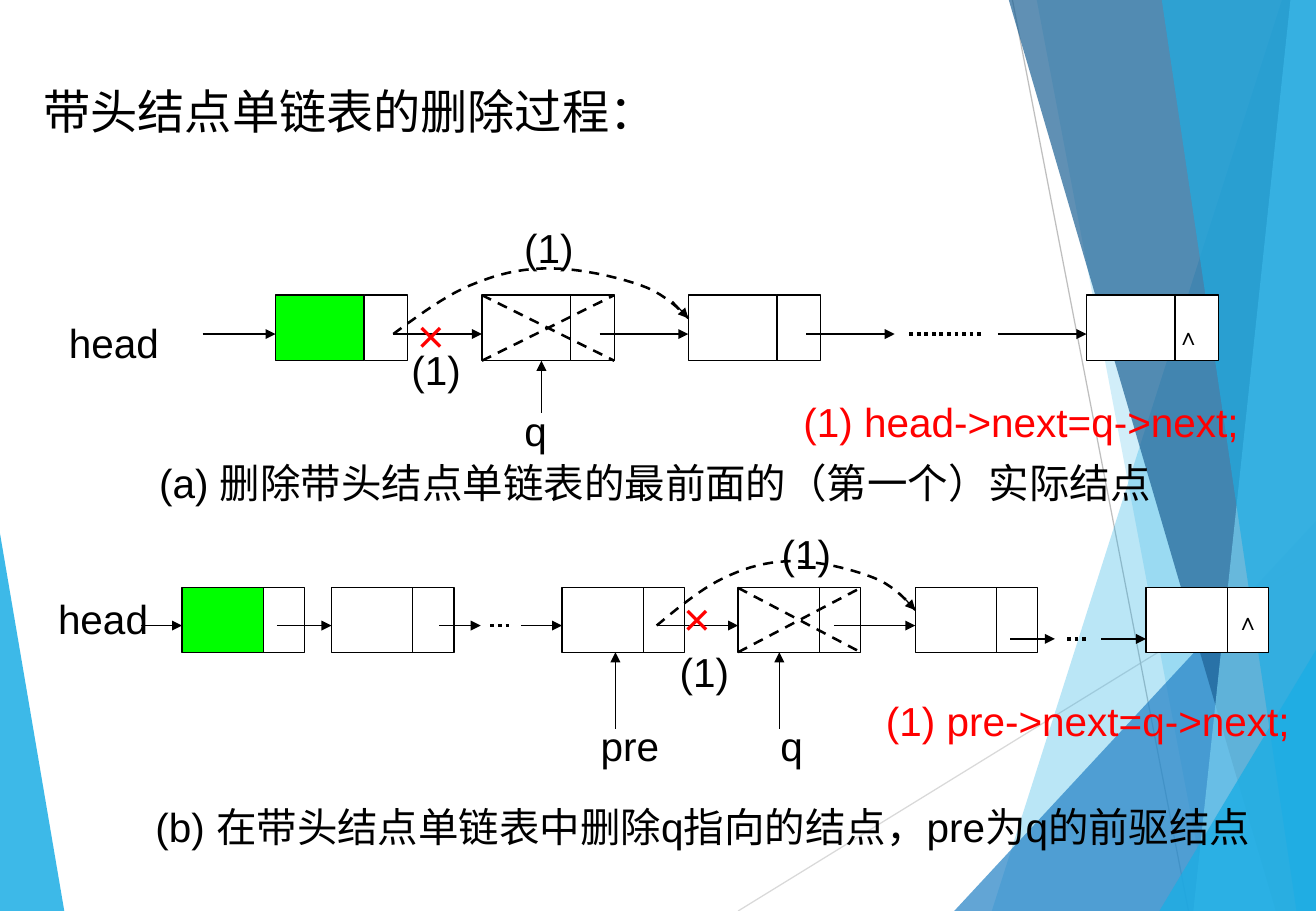
from pptx import Presentation
from pptx.dml.color import RGBColor
from pptx.enum.dml import MSO_LINE
from pptx.enum.shapes import MSO_CONNECTOR, MSO_SHAPE
from pptx.enum.text import MSO_ANCHOR, PP_ALIGN
from pptx.oxml.ns import qn
from pptx.util import Inches, Pt
from lxml.etree import SubElement

W, H = 10.84, 7.5
HEX = {"black": "000000", "white": "FFFFFF", "green": "00FF00", "red": "FF0000",
       "cyan": "1CADE4", "blue": "2683C6", "navy": "1D6295", "sky": "77CEEF",
       "pale": "D9D9D9", "grey": "BFBFBF"}

# Backdrop: thin lines, then facets as (colour, opacity %, corners)
RAYS = [(6.08, H, W, 4.57, "pale"), (8.34, 0, 9.79, H, "grey")]
FACETS = [
    ("cyan", 85, [(0, 4.39), (0.53, H), (0, H)]),
    ("cyan", 30, [(10.56, 0), (8.17, H), (W, H), (W, 0)]),
    ("cyan", 20, [(8.54, 0), (9.96, H), (W, H), (W, 0)]),
    ("blue", 72, [(7.86, H), (W, 4.29), (W, H)]),
    ("navy", 70, [(8.31, 0), (10.51, H), (W, H), (W, 0)]),
    ("sky", 70, [(10.63, 0), (9.83, H), (W, H), (W, 0)]),
    ("cyan", 65, [(9.57, 0), (10.68, H), (W, H), (W, 0)]),
    ("cyan", 80, [(9.55, H), (W, 5.35), (W, H)]),
]

# The two lists; gaps are (start, end, arrow length, pad around the dots)
LISTS = [
    {"top": 2.43, "high": 0.54, "data": 0.73, "next": 0.36,
     "nodes": [2.27, 3.97, 5.67, 8.95], "gone": 3.97, "mid": 2.75,
     "links": [(1.67, 2.27), (3.24, 3.97), (4.94, 5.67)],
     "gaps": [(6.64, 8.95, 2.75, 0.73, 0.12)],
     "marks": [(4.46, 3.4)], "skip": (3.24, 5.67)},
    {"top": 4.84, "high": 0.53, "data": 0.67, "next": 0.34,
     "nodes": [1.5, 2.73, 4.63, 6.08, 7.54, 9.44], "gone": 6.08, "mid": 5.15,
     "links": [(1.16, 1.5), (2.28, 2.73), (5.41, 6.08), (6.87, 7.54)],
     "gaps": [(3.62, 4.63, 5.15, 0.34, 0.08), (8.32, 9.44, 5.26, 0.37, 0.1)],
     "marks": [(5.07, 6), (6.42, 6)], "skip": (5.41, 7.54)},
]

# Bypass curve as cubic arcs, in shares of its width and height
ARCS = [
    [(0, 0), (0.09, 0.3), (0.18, 0.59), (0.26, 0.74)],
    [(0.26, 0.74), (0.35, 0.91), (0.43, 1), (0.53, 1)],
    [(0.53, 1), (0.63, 1), (0.76, 0.87), (0.84, 0.74)],
    [(0.84, 0.74), (0.92, 0.62), (0.98, 0.33), (1, 0.24)],
]

# Text, left, top, width
LABELS = [
    ("head", 0.47, 2.57, 1.2), ("(1)", 4.22, 1.79, 0.8), ("(1)", 3.29, 2.79, 0.8),
    ("q", 4.22, 3.29, 0.61), ("head", 0.38, 4.84, 1.2), ("(1)", 6.34, 4.31, 0.8),
    ("(1)", 5.5, 5.28, 0.8), ("pre", 4.85, 5.89, 0.9), ("q", 6.33, 5.89, 0.61),
]
CODE = [("(1) head->next=q->next;", 6.52, 3.22, 4.3),
        ("(1) pre->next=q->next;", 7.2, 5.68, 3.64)]
NOTES = [("(a) 删除带头结点单链表的最前面的（第一个）实际结点", 0.63, 3.72, 9.53),
         ("(b) 在带头结点单链表中删除q指向的结点，pre为q的前驱结点", 0.74, 6.55, 10.1)]
CUTS = [(3.55, 2.47), (5.74, 4.8)]
ENDS = [(9.79, 2.52), (10.28, 4.86)]

prs = Presentation()
prs.slide_width, prs.slide_height = Inches(W), Inches(H)
shapes = prs.slides.add_slide(prs.slide_layouts[6]).shapes


def tint(name):
    return RGBColor.from_string(HEX[name])


def line(x1, y1, x2, y2, color="black", width=0.75, dash=None, head=False):
    link = shapes.add_connector(MSO_CONNECTOR.STRAIGHT, *map(Inches, (x1, y1, x2, y2)))
    link.line.color.rgb = tint(color)
    link.line.width = Pt(width)
    if dash:
        link.line.dash_style = dash
    prop = link.element.spPr
    if head:
        SubElement(prop.find(qn("a:ln")), qn("a:tailEnd"), type="triangle")
    SubElement(prop, qn("a:effectLst"))


def arrow(x1, y1, x2, y2):
    line(x1, y1, x2, y2, head=True)


def outline(points, close):
    spots = [(Inches(x), Inches(y)) for x, y in points]
    build = shapes.build_freeform(*spots[0])
    build.add_line_segments(spots[1:], close=close)
    shape = build.convert_to_shape()
    shape.shadow.inherit = False
    return shape


def facet(color, alpha, points):
    shape = outline(points, True)
    shape.fill.solid()
    shape.fill.fore_color.rgb = tint(color)
    shape.line.fill.background()
    rgb = shape.element.spPr.find(qn("a:solidFill"))[0]
    SubElement(rgb, qn("a:alpha"), val=str(alpha * 1000))


def cell(x, y, w, h, color):
    box = shapes.add_shape(MSO_SHAPE.RECTANGLE, *map(Inches, (x, y, w, h)))
    box.shadow.inherit = False
    box.fill.solid()
    box.fill.fore_color.rgb = tint(color)
    box.line.color.rgb = tint("black")
    box.line.width = Pt(0.75)


def bypass(x1, x2, y, h):
    w, steps = x2 - x1, 10
    points = [(x1, y)]
    for arc in ARCS:
        for i in range(1, steps + 1):
            t = i / steps
            mix = ((1 - t) ** 3, 3 * t * (1 - t) ** 2, 3 * t * t * (1 - t), t ** 3)
            u, v = (sum(m * p[k] for m, p in zip(mix, arc)) for k in (0, 1))
            points.append((x1 + u * w, y - v * h))
    curve = outline(points, False)
    curve.fill.background()
    curve.line.color.rgb = tint("black")
    curve.line.width = Pt(1.5)
    curve.line.dash_style = MSO_LINE.DASH
    tip = points[-1][1]
    arrow(x2 - 0.13, tip - 0.14, x2, tip)


def label(text, x, y, w, size=24, color="black", font="Arial",
          align=PP_ALIGN.LEFT, anchor=MSO_ANCHOR.TOP):
    frame = shapes.add_textbox(*map(Inches, (x, y, w, 0.5))).text_frame
    frame.word_wrap = True
    frame.vertical_anchor = anchor
    para = frame.paragraphs[0]
    para.text, para.alignment = text, align
    para.font.size, para.font.name = Pt(size), font
    para.font.color.rgb = tint(color)


# Backdrop
facet(*FACETS[0])
for ray in RAYS:
    line(*ray)
for item in FACETS[1:]:
    facet(*item)

# Linked lists
for row in LISTS:
    top, high, data, mid = row["top"], row["high"], row["data"], row["mid"]
    base = top + high
    for x in row["nodes"]:
        cell(x, top, data, high, "green" if x == row["nodes"][0] else "white")
        cell(x + data, top, row["next"], high, "white")
    for x1, x2 in row["links"]:
        arrow(x1, mid, x2, mid)
    for x1, x2, y, size, pad in row["gaps"]:
        arrow(x1, y, x1 + size, y)
        line(x1 + size + pad, y, x2 - size - pad, y, width=2.25, dash=MSO_LINE.ROUND_DOT)
        arrow(x2 - size, y, x2, y)
    for x, y in row["marks"]:
        arrow(x, y, x, base)
    left = row["gone"]
    right = left + data + row["next"]
    for y1, y2 in ((base, top), (top, base)):
        line(left, y1, right, y2, width=1.5, dash=MSO_LINE.DASH)
    bypass(*row["skip"], mid, high)

# Text
label("带头结点单链表的删除过程：", 0.26, 0.63, 7.13, size=28)
for item in LABELS:
    label(*item)
for item in CODE:
    label(*item, color="red")
for item in NOTES:
    label(*item, align=PP_ALIGN.CENTER)
for x, y in CUTS:
    label("×", x - 0.4, y, 0.8, size=28, color="red", align=PP_ALIGN.CENTER)
for x, y in ENDS:
    label("∧", x - 0.25, y, 0.5, size=14, font="Times New Roman",
          align=PP_ALIGN.CENTER, anchor=MSO_ANCHOR.MIDDLE)

prs.save("out.pptx")
